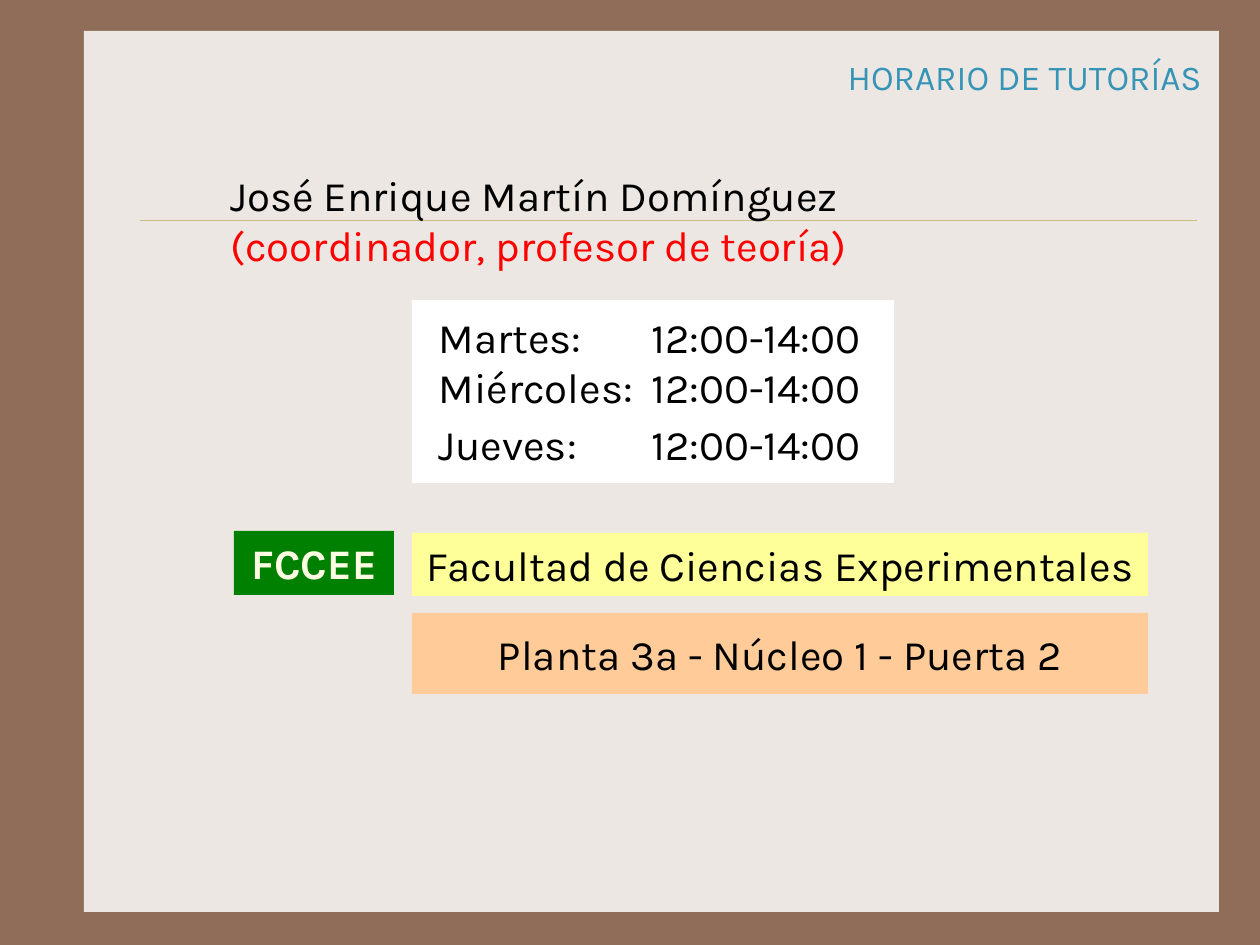
import pptx
import pptx.util
import pptx.dml.color
import pptx.enum.shapes
import pptx.enum.text
import pptx.oxml
import pptx.oxml.ns

RGB = pptx.dml.color.RGBColor
ALIGN = pptx.enum.text.PP_ALIGN
ANCHOR = pptx.enum.text.MSO_ANCHOR
FIT = pptx.enum.text.MSO_AUTO_SIZE

BROWN = RGB(0x90, 0x6D, 0x58)
CREAM = RGB(0xED, 0xE7, 0xE3)
SAND = RGB(0xCB, 0xBD, 0x83)
BLUE = RGB(0x36, 0x94, 0xB6)
BLACK = RGB(0, 0, 0)
WHITE = RGB(0xFF, 0xFF, 0xFF)
RED = RGB(0xFF, 0, 0)
GREEN = RGB(0, 0x80, 0)
IVORY = RGB(0xFE, 0xFD, 0xE3)
YELLOW = RGB(0xFF, 0xFF, 0x99)
PEACH = RGB(0xFF, 0xCC, 0x99)

# Content
TITLE = "HORARIO DE TUTORÍAS"
TUTOR = [("José Enrique Martín Domínguez", BLACK),
         ("(coordinador, profesor de teoría)", RED)]
# day, hours, top
HOURS = [("Martes:", "12:00-14:00", 305),
         ("Miércoles:", "12:00-14:00", 355),
         ("Jueves:", "12:00-14:00", 412)]
# text, fill, colour, bold, box
PLACE = [("Planta 3ª - Núcleo 1 - Puerta 2", PEACH, BLACK, False, (412, 613, 736, 81)),
         ("FCCEE", GREEN, IVORY, True, (234, 531, 160, 64)),
         ("Facultad de Ciencias Experimentales", YELLOW, BLACK, False, (412, 533, 736, 63))]
COLS = [(426, 232), (639, 252)]  # left, width of days and hours
ROW = 64


def px(*nums):
    return [pptx.util.Emu(round(n * 914400 / 126)) for n in nums]


def write(frame, lines, size=24, bold=False, align=ALIGN.LEFT, wrap=False):
    frame.text = "\n".join(text for text, _ in lines)
    frame.word_wrap = wrap
    for para, (_, color) in zip(frame.paragraphs, lines):
        para.alignment = align
        for run in para.runs:
            run.font.name = "Karla"
            run.font.size = pptx.util.Pt(size)
            run.font.bold = bold
            run.font.color.rgb = color


def block(shapes, box, fill):
    rect = shapes.add_shape(pptx.enum.shapes.MSO_SHAPE.RECTANGLE, *px(*box))
    rect.shadow.inherit = False
    rect.fill.solid()
    rect.fill.fore_color.rgb = fill
    rect.line.fill.background()
    return rect


def label(shapes, box, lines, wrap=False):
    write(shapes.add_textbox(*px(*box)).text_frame, lines, wrap=wrap)


deck = pptx.Presentation()
deck.slide_width, deck.slide_height = px(1260, 945)
slide = deck.slides.add_slide(deck.slide_layouts[5])
shapes = slide.shapes

# Background, panel and rule
slide.background.fill.solid()
slide.background.fill.fore_color.rgb = BROWN
panel = block(shapes, (84, 31, 1135, 881), CREAM)
rule = shapes.add_connector(pptx.enum.shapes.MSO_CONNECTOR.STRAIGHT,
                            *px(140, 220, 1197, 220))
rule.line.color.rgb = SAND
rule.line.width = pptx.util.Pt(0.25)
props = rule.element.find(pptx.oxml.ns.qn("p:spPr"))
props.append(pptx.oxml.parse_xml(
    "<a:effectLst %s/>" % pptx.oxml.ns.nsdecls("a")))

# Title, brought in front of the panel
title = shapes.title
title.left, title.top, title.width, title.height = px(835, 49, 383, 54)
write(title.text_frame, [(TITLE, BLUE)], size=20)
title.text_frame.vertical_anchor = ANCHOR.TOP
title.text_frame.auto_size = FIT.NONE
panel.element.getparent().append(title.element)

# Timetable
table = shapes.add_group_shape().shapes
block(table, (412, 300, 482, 183), WHITE)
for day, time, top in HOURS:
    for text, (left, width) in zip((day, time), COLS):
        label(table, (left, top, width, ROW), [(text, BLACK)], wrap=True)

# Office
office = shapes.add_group_shape().shapes
for text, fill, color, bold, box in PLACE:
    frame = block(office, box, fill).text_frame
    write(frame, [(text, color)], bold=bold, align=ALIGN.CENTER)
    frame.vertical_anchor = ANCHOR.MIDDLE

# Tutor
label(shapes, (218, 163, 673, 115), TUTOR)

deck.save("out.pptx")
